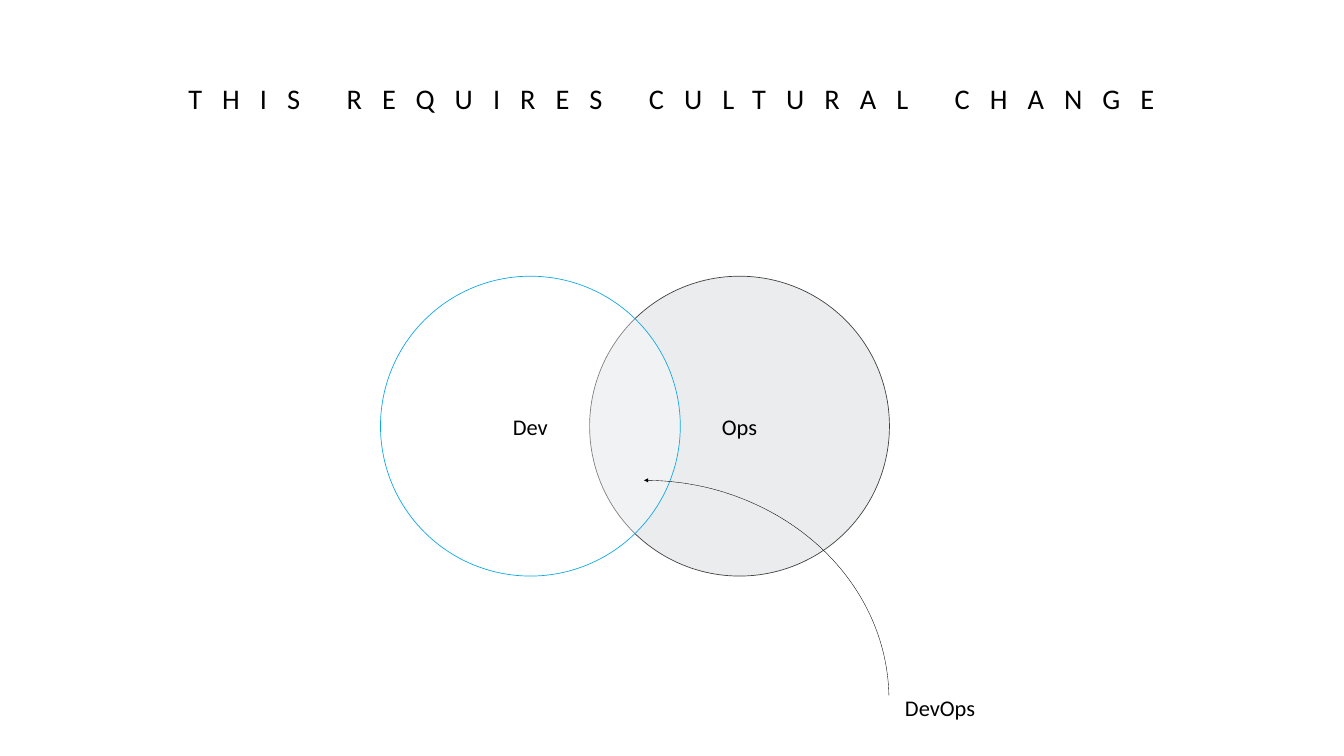
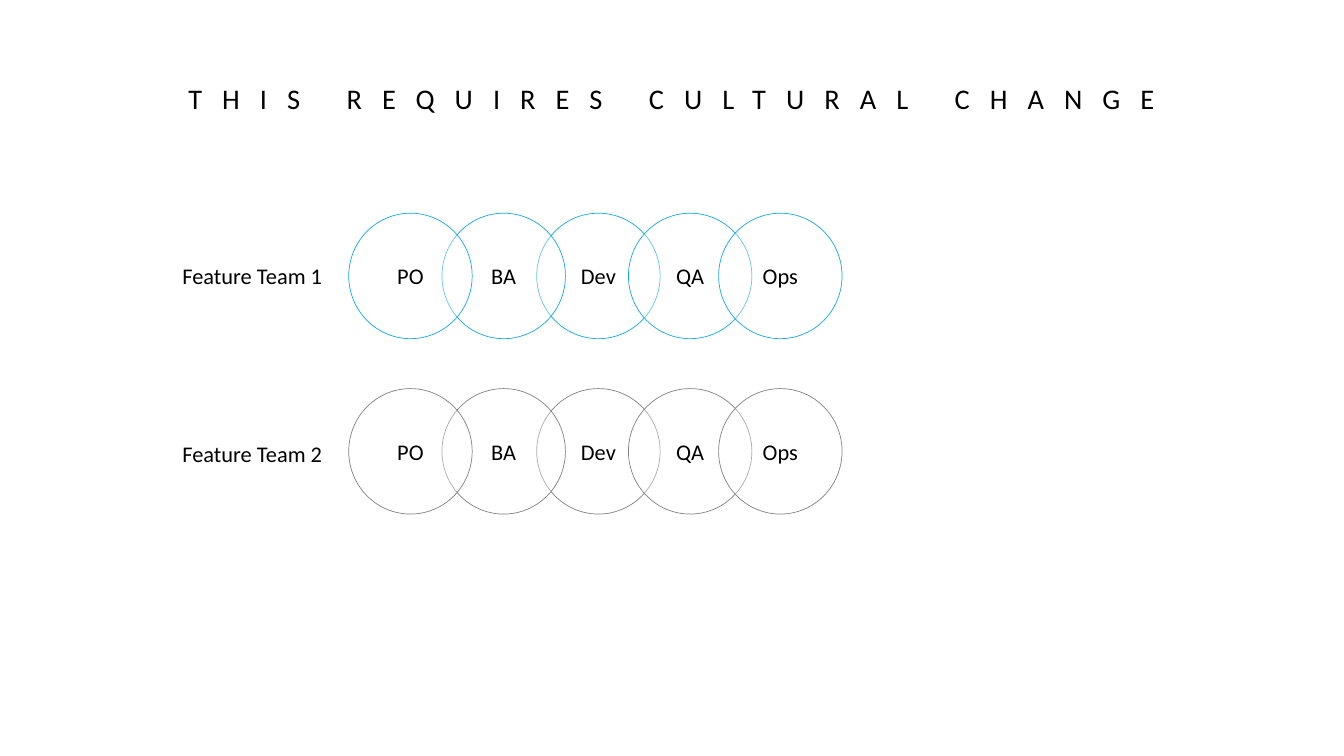
from lxml.etree import SubElement
from pptx import Presentation
from pptx.dml.color import RGBColor
from pptx.enum.shapes import MSO_SHAPE as Shape
from pptx.enum.text import MSO_ANCHOR as Anchor, MSO_AUTO_SIZE as AutoSize, PP_ALIGN as Align
from pptx.oxml.ns import qn
from pptx.util import Pt

PX = 9144  # EMU per px, 100 px to the inch
COLORS = {
    "text": "000000",
    "white": "FFFFFF",
    "blue": "10A8E4",
    "gray": "808080",
    "charcoal": "404040",
    "silver": "C4C8CB",
}
FONT = "Calibri"
TITLE = "THIS REQUIRES CULTURAL CHANGE"
TITLE_BOX = (302, 141, 2062, 59)
TITLE_ONLY = 5
FILL_ALPHA = 34000
# Role and offset from the row's left edge, from back to front
ROLES = [("Dev", 373), ("QA", 555), ("BA", 185), ("PO", 0), ("Ops", 734)]


def emu(*lengths):
    return [length * PX for length in lengths]


def color(name):
    return RGBColor.from_string(COLORS[name])


def style_font(font, size):
    font.name = FONT
    font.size = Pt(size)
    font.color.rgb = color("text")


def add_page(deck):
    """Add a slide with the shared widely spaced title."""
    page = deck.slides.add_slide(deck.slide_layouts[TITLE_ONLY])
    title = page.shapes.title
    title.left, title.top, title.width, title.height = emu(*TITLE_BOX)
    frame = title.text_frame
    frame.auto_size = AutoSize.NONE
    frame.vertical_anchor = Anchor.TOP
    para = frame.paragraphs[0]
    para.alignment = Align.CENTER
    para.line_spacing = 0.8
    span = para.add_run()
    span.text = TITLE
    style_font(span.font, 70)
    properties = span._r.get_or_add_rPr()
    properties.set("spc", "2870")
    properties.set("baseline", "4000")
    return page


def add_circle(shapes, box, text, line, fill="white"):
    """Add a translucent labelled circle to a slide or group."""
    circle = shapes.add_shape(Shape.OVAL, *emu(*box))
    circle.shadow.inherit = False
    circle.fill.solid()
    circle.fill.fore_color.rgb = color(fill)
    fill_color = circle._element.spPr.find(qn("a:solidFill"))[0]
    SubElement(fill_color, qn("a:alpha"), val=str(FILL_ALPHA))
    circle.line.color.rgb = color(line)
    circle.line.width = Pt(1)
    frame = circle.text_frame
    frame.vertical_anchor = Anchor.MIDDLE
    para = frame.paragraphs[0]
    para.text = text
    para.alignment = Align.CENTER
    style_font(para.font, 32)


def add_label(page, box, text):
    label = page.shapes.add_textbox(*emu(*box))
    frame = label.text_frame
    frame.word_wrap = False
    frame.auto_size = AutoSize.SHAPE_TO_FIT_TEXT
    para = frame.paragraphs[0]
    para.text = text
    style_font(para.font, 32)


def add_curved_arrow(page, box):
    """Add a quarter arc with its arrowhead at the top centre of the box."""
    arc = page.shapes.add_shape(Shape.ARC, *emu(*box))
    arc.adjustments[0] = 162
    arc.adjustments[1] = 215.45
    arc.shadow.inherit = False
    arc.fill.background()
    arc.line.color.rgb = color("text")
    arc.line.width = Pt(0.5)
    SubElement(arc._element.spPr.find(qn("a:ln")), qn("a:headEnd"), type="triangle")


def add_devops_overlap(page, left, top):
    size = 595
    add_circle(page.shapes, (left + 415, top, size, size), "Ops", "charcoal", "silver")
    add_circle(page.shapes, (left, top, size, size), "Dev", "blue")
    add_label(page, (left + 1031, top + 825, 161, 64), "DevOps")
    add_curved_arrow(page, (left + 37, top + 405, 972, 869))


def add_team(page, left, top, line, name, name_top):
    """Add a row of overlapping roles with the team name to its left."""
    group = page.shapes.add_group_shape()
    for role, offset in ROLES:
        add_circle(group.shapes, (left + offset, top, 245, 249), role, line)
    add_label(page, (left - 340, name_top, 300, 64), name)


def main():
    deck = Presentation()
    deck.slide_width, deck.slide_height = emu(2667, 1500)

    add_devops_overlap(add_page(deck), 755, 548)

    teams_page = add_page(deck)
    add_team(teams_page, 692, 423, "blue", "Feature Team 1", 516)
    add_team(teams_page, 692, 771, "gray", "Feature Team 2", 868)

    deck.save("out.pptx")


if __name__ == "__main__":
    main()
